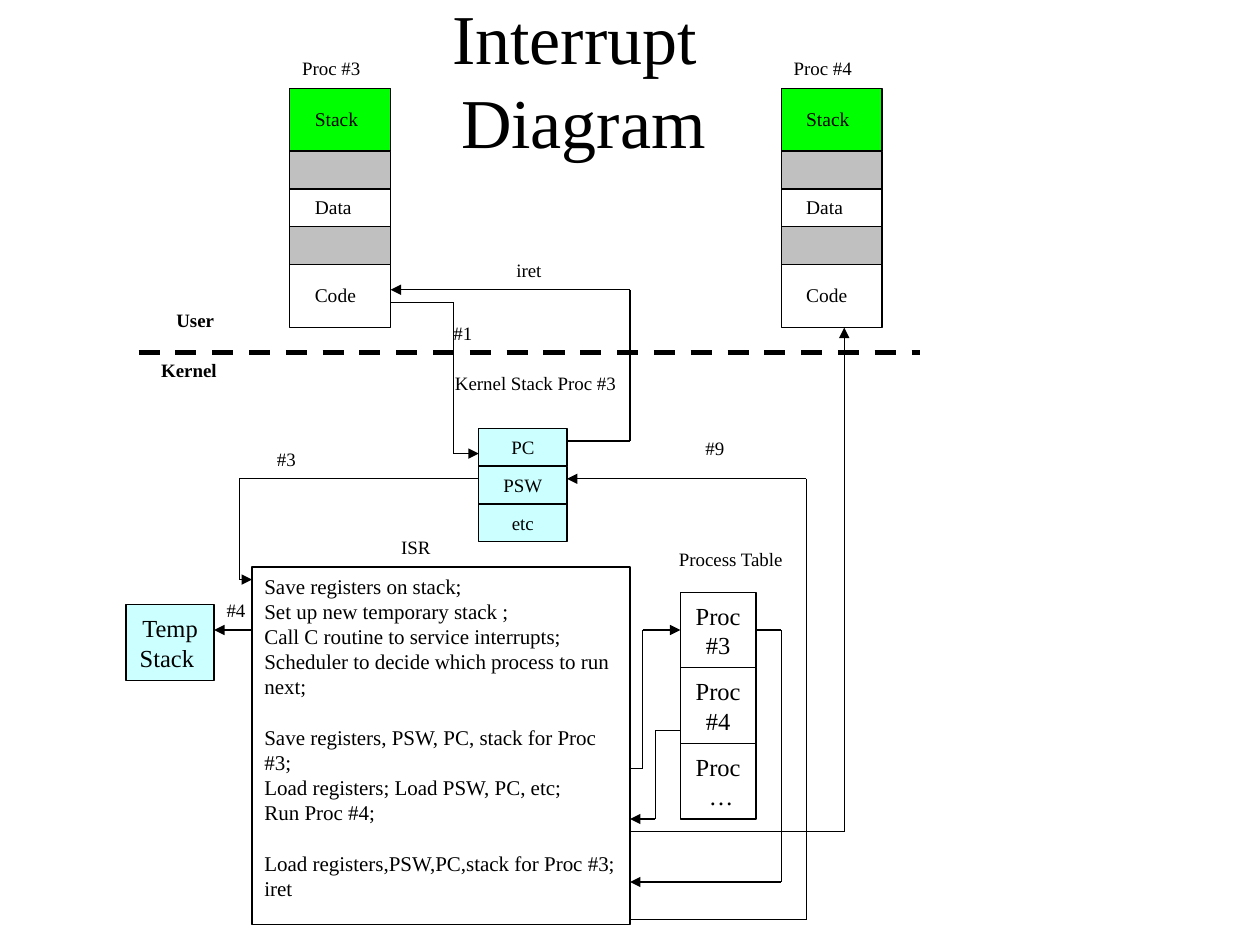
"""Build the interrupt diagram slide."""
from itertools import pairwise

from lxml.etree import SubElement
from pptx import Presentation
from pptx.dml.color import RGBColor
from pptx.enum.dml import MSO_LINE
from pptx.enum.shapes import MSO_CONNECTOR, MSO_SHAPE
from pptx.enum.text import MSO_ANCHOR, PP_ALIGN
from pptx.oxml.ns import qn
from pptx.util import Cm, Pt

BLACK = RGBColor(0, 0, 0)
WHITE = RGBColor(255, 255, 255)
GRAY = RGBColor(0xC0, 0xC0, 0xC0)
GREEN = RGBColor(0, 255, 0)
CYAN = RGBColor(0xCC, 255, 255)
LEFT, MID = PP_ALIGN.LEFT, PP_ALIGN.CENTER
FONT = "Times New Roman"
THIN = 0.74
SMALL = 10.8

PROCS = [("Proc #3", 2.3), ("Proc #4", 6.2)]
BANDS = [("Stack", 0.5, GREEN), ("", 0.3, GRAY), ("Data", 0.3, WHITE),
         ("", 0.3, GRAY), ("Code", 0.5, WHITE)]
STACKS = [
    (3.8, 3.4, 0.7, 0.3, CYAN, SMALL, ["PC", "PSW", "etc"]),
    (5.4, 4.7, 0.6, 0.6, WHITE, 14, ["Proc #3", "Proc #4", "Proc\v …"]),
    (1, 4.8, 0.7, 0.6, CYAN, 14, ["Temp\vStack "]),
]
ISR = [
    ["Save registers on stack;", "Set up new temporary stack ;",
     "Call C routine to service interrupts;",
     "Scheduler to decide which process to run next;"],
    ["Save registers, PSW, PC, stack for Proc #3;",
     "Load registers; Load PSW, PC, etc;", "Run Proc #4;"],
    ["Load registers,PSW,PC,stack for Proc #3;", "iret"],
]
LABELS = [
    ("#1", 3.5, 2.5, 0.5, LEFT, False),
    ("#3", 2.1, 3.5, 0.5, LEFT, False),
    ("#4", 1.7, 4.7, 0.4, LEFT, False),
    ("#9", 5.5, 3.42, 0.5, LEFT, False),
    ("iret", 4, 2, 0.5, LEFT, False),
    ("Process Table", 5.1, 4.3, 1.4, MID, False),
    ("Kernel Stack Proc #3", 3.5, 2.9, 1.5, MID, False),
    ("ISR", 2.9, 4.2, 0.8, MID, False),
    ("Kernel", 1.1, 2.8, 0.8, MID, True),
    ("User", 1.2, 2.4, 0.7, MID, True),
]
PATHS = [
    [(3.1, 2.4), (3.6, 2.4), (3.6, 3.6), (3.8, 3.6)],
    [(4.5, 3.5), (5, 3.5), (5, 2.3), (3.1, 2.3)],
    [(3.8, 3.8), (1.9, 3.8), (1.9, 4.6), (2, 4.6)],
    [(2, 5), (1.7, 5)],
    [(5, 6.1), (5.1, 6.1), (5.1, 5), (5.4, 5)],
    [(5.4, 5.8), (5.2, 5.8), (5.2, 6.5), (5, 6.5)],
    [(5, 6.6), (6.7, 6.6), (6.7, 2.6)],
    [(6, 5), (6.2, 5), (6.2, 7), (5, 7)],
    [(5, 7.3), (6.4, 7.3), (6.4, 3.8), (4.5, 3.8)],
]


def inch(num):
    """Turn inches into a length."""
    return Cm(num * 2.54)


def write(shape, text, size, align=LEFT, anchor=MSO_ANCHOR.TOP, bold=False):
    """Fill a shape with styled text."""
    frame = shape.text_frame
    frame.word_wrap = True
    frame.vertical_anchor = anchor
    frame.margin_left = frame.margin_right = inch(0.1)
    frame.margin_top = frame.margin_bottom = inch(0.05)
    frame.text = text
    for para in frame.paragraphs:
        para.alignment = align
        para.font.size = Pt(size)
        for run in para.runs:
            font = run.font
            font.name, font.size, font.bold = FONT, Pt(size), bold
            font.color.rgb = BLACK
    return frame


def label(text, x, y, w, h=0.3, size=SMALL, **style):
    """Add a text box."""
    box = slide.shapes.add_textbox(*map(inch, (x, y, w, h)))
    write(box, text, size, **style)


def block(x, y, w, h, fill):
    """Add an outlined rectangle."""
    rect = slide.shapes.add_shape(MSO_SHAPE.RECTANGLE, *map(inch, (x, y, w, h)))
    rect.shadow.inherit = False
    rect.fill.solid()
    rect.fill.fore_color.rgb = fill
    rect.line.color.rgb = BLACK
    rect.line.width = Pt(THIN)
    return rect


def link(start, end, width=THIN, arrow=False):
    """Add a straight line, with or without an arrowhead."""
    line = slide.shapes.add_connector(
        MSO_CONNECTOR.STRAIGHT, *map(inch, (*start, *end)))
    line.line.color.rgb = BLACK
    line.line.width = Pt(width)
    if arrow:
        SubElement(line.line._get_or_add_ln(), qn("a:tailEnd"), type="triangle")
    SubElement(line._element.spPr, qn("a:effectLst"))
    return line


deck = Presentation()
deck.slide_width, deck.slide_height = inch(10), inch(7.5)
slide = deck.slides.add_slide(deck.slide_layouts[6])

label("Interrupt \vDiagram", 3.17, 0, 2.92, 1.25, 40,
      align=MID, anchor=MSO_ANCHOR.MIDDLE)

for name, x in PROCS:
    label(name, x, 0.4, 0.9)
    top = 0.7
    for text, high, fill in BANDS:
        block(x, top, 0.8, high, fill)
        if text:
            label(text, x + 0.1, top + high / 2 - 0.15, 0.6, size=11.1)
        top += high

for x, y, w, h, fill, size, cells in STACKS:
    for row, text in enumerate(cells):
        cell = block(x, y + row * h, w, h, fill)
        write(cell, text, size, MID, MSO_ANCHOR.MIDDLE)

steps = "\n".join(step for part in ISR for step in part)
frame = write(block(2, 4.5, 3, 2.84, WHITE), steps, 12)
first = 0
for part in ISR[:-1]:
    first += len(part)
    frame.paragraphs[first].space_before = Pt(14.4)

link((1.1, 2.8), (7.3, 2.8), 3).line.dash_style = MSO_LINE.DASH
for path in PATHS:
    for start, end in pairwise(path):
        link(start, end, arrow=end == path[-1])

for text, x, y, w, align, bold in LABELS:
    label(text, x, y, w, align=align, bold=bold)

deck.save("out.pptx")
